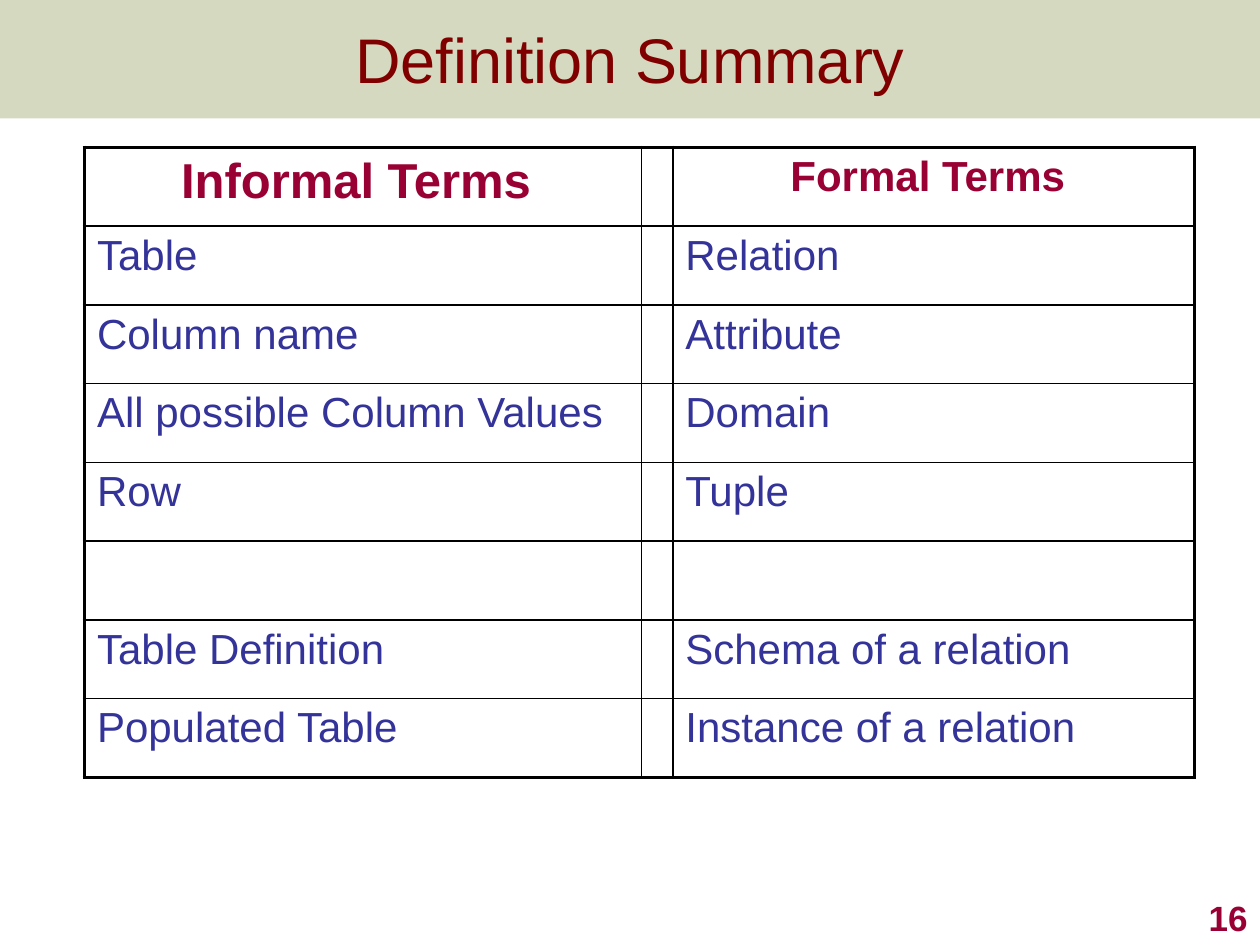
from dataclasses import dataclass

from lxml.etree import SubElement
from pptx import Presentation
from pptx.dml.color import RGBColor as RGB
from pptx.enum.shapes import MSO_SHAPE as Shape
from pptx.enum.text import MSO_ANCHOR as Anchor, PP_ALIGN as Align
from pptx.oxml import parse_xml
from pptx.oxml.ns import nsdecls, qn
from pptx.util import Inches, Pt

COLUMNS, ROWS = 100, 75  # layout grid over the whole slide


@dataclass(frozen=True)
class Theme:
    font: str = "Arial"
    band: str = "76822E"
    band_opacity: int = 30
    title: str = "800000"
    accent: str = "990033"
    body: str = "333399"
    border: str = "000000"
    title_size: int = 36
    head_sizes: tuple = (28, 24, 24)
    body_size: int = 24
    number_size: int = 20
    outer_line: float = 2.25
    inner_line: float = 1


def write(tf, text, font, size, color, bold=False, align=Align.LEFT, anchor=None):
    """Put one formatted paragraph into a text frame."""
    tf.word_wrap = True
    if anchor is not None:
        tf.vertical_anchor = anchor
    p = tf.paragraphs[0]
    p.alignment = align
    r = p.add_run()
    r.text = text
    r.font.name, r.font.size, r.font.bold = font, Pt(size), bold
    r.font.color.rgb = RGB.from_string(color)


class Deck:
    def __init__(self, theme):
        self.theme = theme
        self.prs = Presentation()
        self.prs.slide_width, self.prs.slide_height = Inches(10), Inches(7.5)
        self.s = self.prs.slides.add_slide(self.prs.slide_layouts[5])

    def x(self, columns):
        return round(self.prs.slide_width * columns / COLUMNS)

    def y(self, rows):
        return round(self.prs.slide_height * rows / ROWS)

    def box(self, left, top, width, height):
        return self.x(left), self.y(top), self.x(width), self.y(height)

    def band(self, *box):
        sp = self.s.shapes.add_shape(Shape.RECTANGLE, *self.box(*box))
        sp.shadow.inherit = False
        sp.line.fill.background()
        sp.fill.solid()
        sp.fill.fore_color.rgb = RGB.from_string(self.theme.band)
        color = sp.fill._xPr.find(".//" + qn("a:srgbClr"))
        SubElement(color, qn("a:alpha"), val=str(self.theme.band_opacity * 1000))

    def title(self, text, *box):
        t, sp = self.theme, self.s.shapes.title
        sp.left, sp.top, sp.width, sp.height = self.box(*box)
        write(sp.text_frame, text, t.font, t.title_size, t.title,
              align=Align.CENTER, anchor=Anchor.MIDDLE)
        self.s.shapes._spTree.append(sp._element)  # in front of the band

    def number(self, text, *box):
        t = self.theme
        sp = self.s.shapes.add_textbox(*self.box(*box))
        write(sp.text_frame, text, t.font, t.number_size, t.accent, bold=True,
              align=Align.RIGHT, anchor=Anchor.BOTTOM)

    def table(self, left, top, widths, row_height, rows):
        t = self.theme
        box = self.box(left, top, sum(widths), row_height * len(rows))
        tbl = self.s.shapes.add_table(len(rows), len(widths), *box).table
        tbl.first_row = tbl.horz_banding = False
        for column, width in zip(tbl.columns, widths):
            column.width = self.x(width)
        last_i, last_j = len(rows) - 1, len(widths) - 1
        for i, row in enumerate(rows):
            tbl.rows[i].height = self.y(row_height)
            for j, text in enumerate(row):
                cell = tbl.cell(i, j)
                cell.fill.background()
                self.borders(cell, L=j == 0, R=j == last_j, T=i == 0, B=i == last_i)
                if text and i == 0:
                    write(cell.text_frame, text, t.font, t.head_sizes[j], t.accent,
                          bold=True, align=Align.CENTER)
                elif text:
                    write(cell.text_frame, text, t.font, t.body_size, t.body)

    def borders(self, cell, **outer_sides):
        t, props = self.theme, cell._tc.get_or_add_tcPr()
        for n, (side, outer) in enumerate(outer_sides.items()):
            width = Pt(t.outer_line if outer else t.inner_line)
            props.insert(n, parse_xml(
                f'<a:ln{side} {nsdecls("a")} w="{width}"><a:solidFill>'
                f'<a:srgbClr val="{t.border}"/></a:solidFill></a:ln{side}>'))


def main():
    deck = Deck(Theme())

    # Heading
    deck.band(0, 0, COLUMNS, 9.4)
    deck.title("Definition Summary", 0, 0, COLUMNS, 9.2)

    # Terms, with a narrow empty column between the two lists
    terms = [
        ("Informal Terms ", "Formal Terms "),
        ("Table", "Relation"),
        ("Column name", "Attribute"),
        ("All possible Column Values", "Domain"),
        ("Row", "Tuple"),
        ("", ""),
        ("Table Definition", "Schema of a relation"),
        ("Populated Table", "Instance of a relation"),
    ]
    rows = [(informal, "", formal) for informal, formal in terms]
    deck.table(6.7, 11.7, (44.2, 2.5, 41.4), 6.25, rows)

    # Slide number
    deck.number("16", 79.2, 70, 20.8, 5)

    deck.prs.save("out.pptx")


if __name__ == "__main__":
    main()
